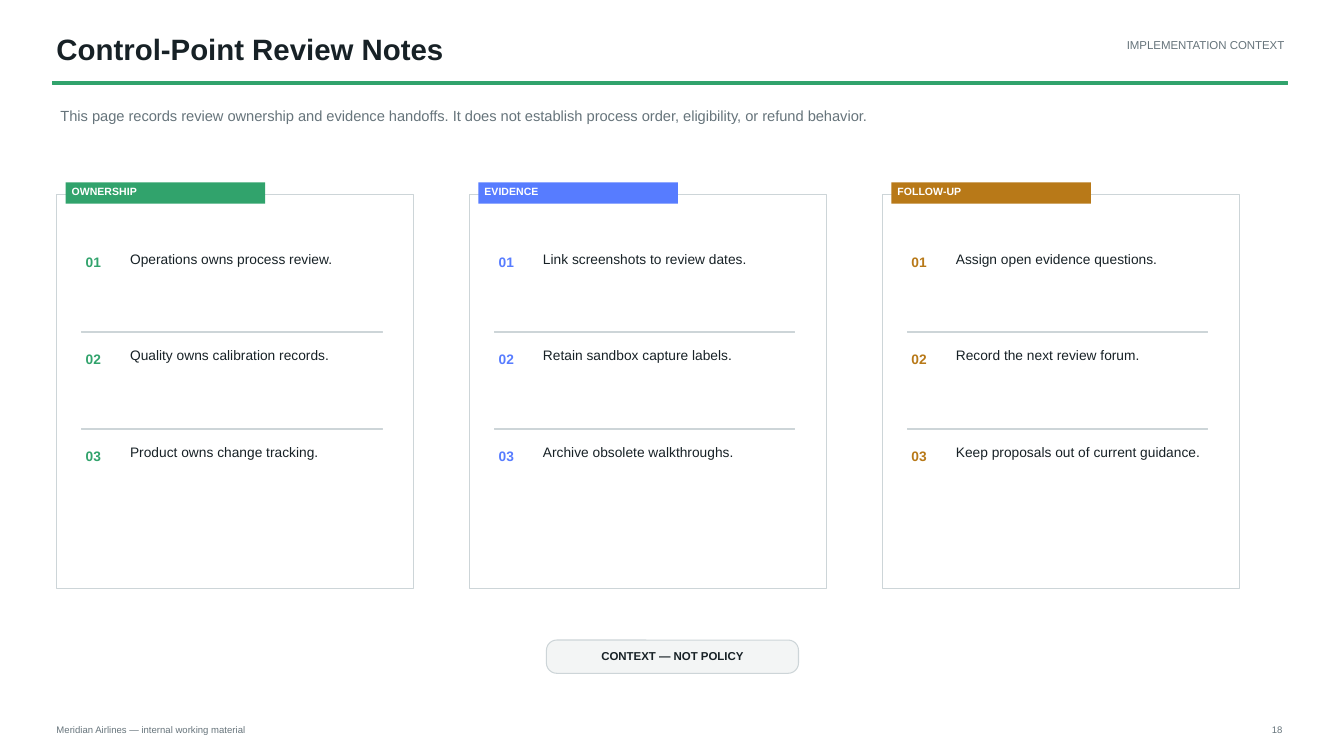
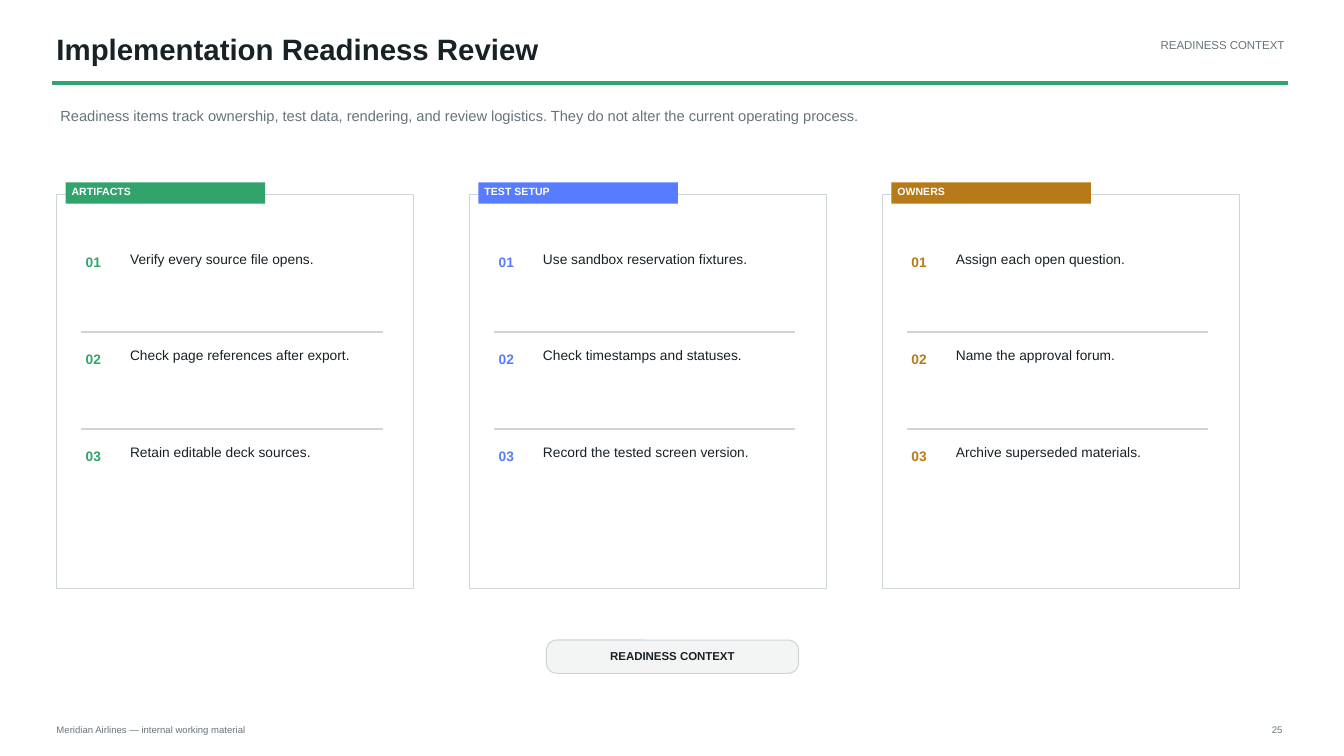
from pptx import Presentation
from pptx.dml.color import RGBColor
from pptx.enum.shapes import MSO_SHAPE as SHAPE
from pptx.enum.text import MSO_ANCHOR as ANCHOR, MSO_AUTO_SIZE as AUTO, PP_ALIGN as ALIGN
from pptx.util import Inches, Pt

FONT = "Arial"
INK, MUTED, BORDER, PALE, WHITE = "172126", "66747B", "CDD5D8", "F3F5F5", "FFFFFF"
GREEN, BLUE, AMBER = "31A36C", "577CFF", "B87918"
ACCENTS = (GREEN, BLUE, AMBER)

CARD_LEFT, CARD_RIGHT, CARD_W = 0.56, 12.29, 3.54
CARD_PITCH = (CARD_RIGHT - CARD_LEFT - CARD_W) / (len(ACCENTS) - 1)
ROW_TOP, ROW_PITCH = 2.45, 0.96
BOX_INSETS = (0.04, 0.02, 0.04, 0.02)

REVIEWS = [
    dict(
        title="Control-Point Review Notes",
        context="IMPLEMENTATION CONTEXT",
        intro="This page records review ownership and evidence handoffs. "
              "It does not establish process order, eligibility, or refund behavior.",
        cards=[
            ("OWNERSHIP", ["Operations owns process review.",
                           "Quality owns calibration records.",
                           "Product owns change tracking."]),
            ("EVIDENCE", ["Link screenshots to review dates.",
                          "Retain sandbox capture labels.",
                          "Archive obsolete walkthroughs."]),
            ("FOLLOW-UP", ["Assign open evidence questions.",
                           "Record the next review forum.",
                           "Keep proposals out of current guidance."]),
        ],
        badge="CONTEXT — NOT POLICY",
        page=18,
    ),
    dict(
        title="Implementation Readiness Review",
        context="READINESS CONTEXT",
        intro="Readiness items track ownership, test data, rendering, and review logistics. "
              "They do not alter the current operating process.",
        cards=[
            ("ARTIFACTS", ["Verify every source file opens.",
                           "Check page references after export.",
                           "Retain editable deck sources."]),
            ("TEST SETUP", ["Use sandbox reservation fixtures.",
                            "Check timestamps and statuses.",
                            "Record the tested screen version."]),
            ("OWNERS", ["Assign each open question.",
                        "Name the approval forum.",
                        "Archive superseded materials."]),
        ],
        badge="READINESS CONTEXT",
        page=25,
    ),
]


def rgb(color):
    return RGBColor.from_string(color)


class Deck:
    """Holds the presentation, its style and the slide being built."""

    def __init__(self):
        self.prs = Presentation()
        self.prs.slide_width, self.prs.slide_height = Inches(13.33), Inches(7.5)
        self.slide = None

    def set_text(self, sp, text, size, color, bold=False, align=ALIGN.LEFT,
                 spacing=None, anchor=ANCHOR.TOP, insets=BOX_INSETS):
        tf = sp.text_frame
        tf.word_wrap, tf.auto_size, tf.vertical_anchor = True, AUTO.NONE, anchor
        tf.margin_left, tf.margin_top, tf.margin_right, tf.margin_bottom = map(Inches, insets)
        p = tf.paragraphs[0]
        p.text, p.alignment = text, align
        if spacing:
            p.line_spacing = spacing
        p.font.name, p.font.size, p.font.bold = FONT, Pt(size), bold
        p.font.color.rgb = rgb(color)

    def text(self, box, text, size, color, **style):
        sp = self.slide.shapes.add_textbox(*map(Inches, box))
        self.set_text(sp, text, size, color, **style)

    def shape(self, box, fill=None, line=None, line_width=0.75, kind=SHAPE.RECTANGLE):
        sp = self.slide.shapes.add_shape(kind, *map(Inches, box))
        sp.shadow.inherit = False
        if fill:
            sp.fill.solid()
            sp.fill.fore_color.rgb = rgb(fill)
        else:
            sp.fill.background()
        if line:
            sp.line.color.rgb = rgb(line)
            sp.line.width = Pt(line_width)
        else:
            sp.line.fill.background()
        return sp

    def rule(self, box, color):
        self.shape(box, color, color, line_width=0)

    def title(self, text):
        sp = self.slide.shapes.title
        sp.left, sp.top, sp.width, sp.height = map(Inches, (0.52, 0.29, 8.85, 0.44))
        self.set_text(sp, text, 21, INK, bold=True)

    def footer(self, page):
        self.text((0.52, 7.16, 3.12, 0.19), "Meridian Airlines — internal working material", 6.8, MUTED)
        self.text((12.24, 7.16, 0.52, 0.19), str(page), 6.8, MUTED, align=ALIGN.RIGHT)

    def card(self, left, label, items, accent):
        """Draws an outlined card with a label tab and numbered, ruled items."""
        self.shape((left, 1.93, CARD_W, 3.91), line=BORDER)
        tab = self.shape((left + 0.09, 1.81, 1.98, 0.21), accent)
        self.set_text(tab, label, 7.5, WHITE, bold=True, insets=(0.06, 0.03, 0.06, 0.02))
        for i, item in enumerate(items):
            top = ROW_TOP + i * ROW_PITCH
            if i:
                self.rule((left + 0.25, top - 0.12, 2.98, 0.01), BORDER)
            self.text((left + 0.25, top + 0.05, 0.35, 0.29), f"{i + 1:02}", 9.8, accent, bold=True)
            self.text((left + 0.69, top, 2.55, 0.69), item, 9.8, INK, spacing=1.08)

    def badge(self, text):
        sp = self.shape((5.42, 6.35, 2.5, 0.33), PALE, BORDER, kind=SHAPE.ROUNDED_RECTANGLE)
        sp.adjustments[0] = 0.31
        self.set_text(sp, text, 8.2, INK, bold=True, align=ALIGN.CENTER, spacing=0.96,
                      anchor=ANCHOR.MIDDLE, insets=(0.06, 0.03, 0.06, 0.03))

    def review(self, title, context, intro, cards, badge, page):
        layout = self.prs.slide_layouts.get_by_name("Title Only")
        self.slide = self.prs.slides.add_slide(layout)
        self.title(title)
        self.text((9.4, 0.36, 3.38, 0.31), context, 8.2, MUTED, align=ALIGN.RIGHT)
        self.rule((0.52, 0.81, 12.25, 0.03), GREEN)
        self.text((0.56, 1.04, 11.67, 0.44), intro, 10.5, MUTED)
        for i, ((label, items), accent) in enumerate(zip(cards, ACCENTS)):
            self.card(CARD_LEFT + i * CARD_PITCH, label, items, accent)
        self.badge(badge)
        self.footer(page)


def main():
    deck = Deck()
    for review in REVIEWS:
        deck.review(**review)
    deck.prs.save("out.pptx")


if __name__ == "__main__":
    main()
